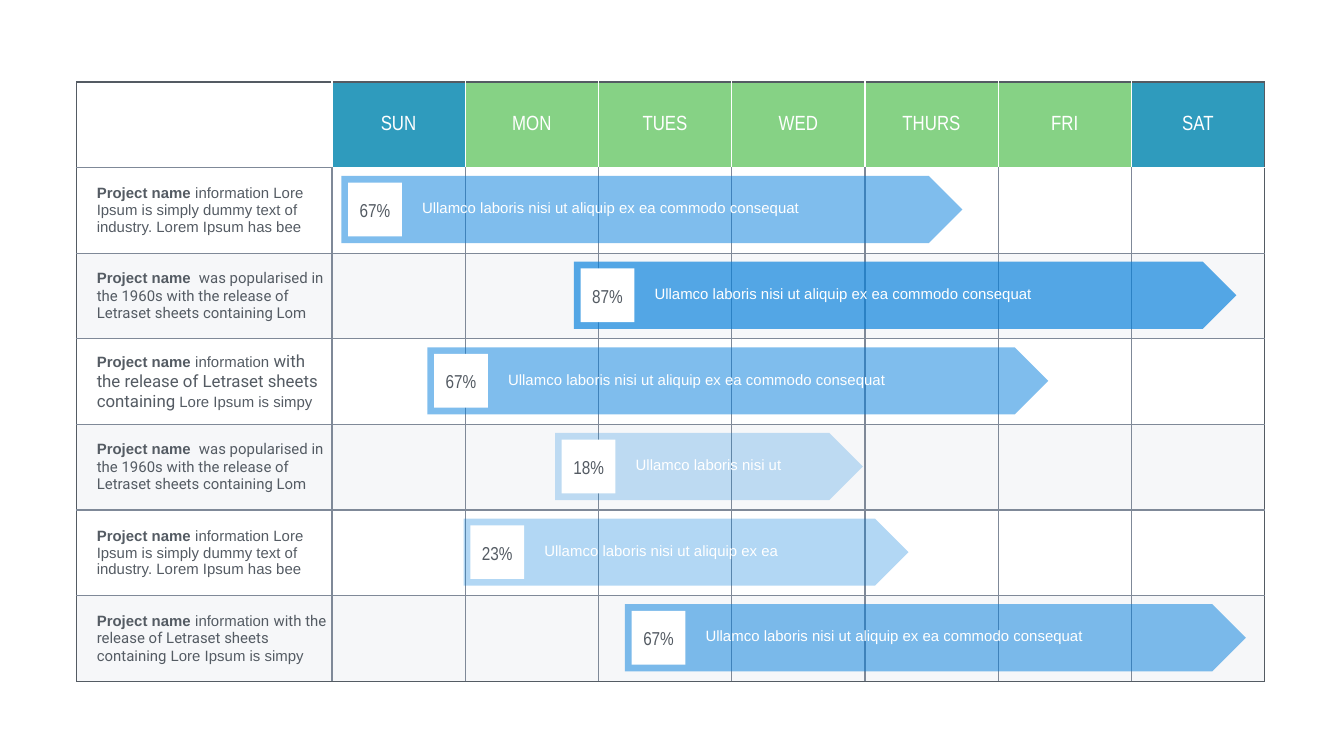
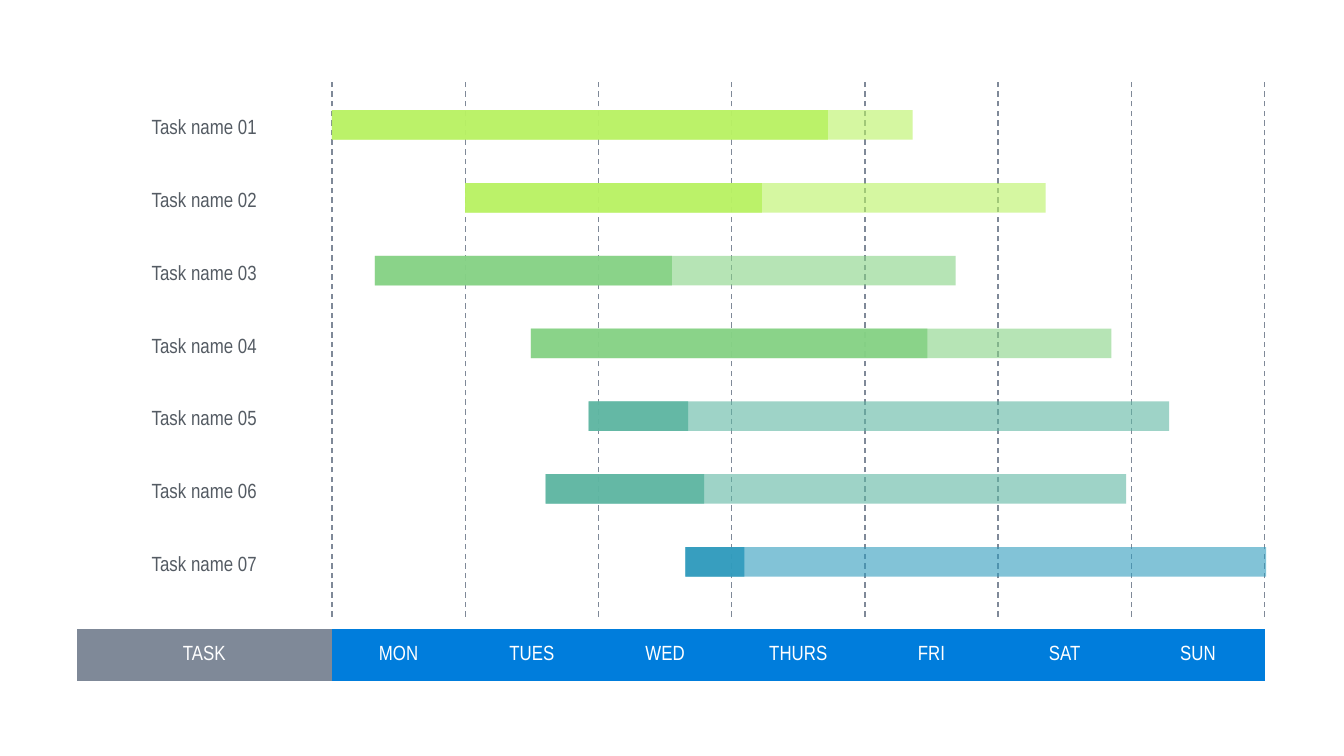
"""Build two weekly Gantt slides: a project table with arrows and a task bar chart."""
from lxml.etree import SubElement
from pptx import Presentation
from pptx.dml.color import RGBColor
from pptx.enum.dml import MSO_LINE_DASH_STYLE as Dash
from pptx.enum.shapes import MSO_CONNECTOR as Connector, MSO_SHAPE as Shape
from pptx.enum.text import MSO_ANCHOR as Anchor, PP_ALIGN as Align
from pptx.oxml.ns import qn
from pptx.util import Inches, Pt

COLORS = {
    "white": "FFFFFF", "ink": "545B63", "gray": "7F8998", "pale": "EEF0F4",
    "blue": "007DDC", "teal": "2F9BBD", "sea": "5EB6A2", "green": "86D285",
    "lime": "B9F263",
}
NARROW, SANS, ROBOTO = "Arial Narrow", "Arial", "Roboto"
LEFT, LABEL_WIDTH, RIGHT = 0.57, 1.9, 9.41
DAYS_LEFT = LEFT + LABEL_WIDTH
DAY_WIDTH = (RIGHT - DAYS_LEFT) / 7
TABLE_TOP, ROW_HEIGHT = 0.61, 4.46 / 7
TASK_STEP = 3.25 / 6
NO_STYLE = "{2D5ABB26-0587-4C30-8999-92F81FD0307C}"


def paint(target, color, alpha=100):
    """Fill a shape or cell with a colour of the given opacity, without outline."""
    target.fill.solid()
    target.fill.fore_color.rgb = RGBColor.from_string(COLORS[color])
    if alpha < 100:
        tone = next(target.fill._xPr.iter(qn("a:srgbClr")))
        SubElement(tone, qn("a:alpha"), val=str(alpha * 1000))
    if hasattr(target, "shadow"):
        target.shadow.inherit = False
        target.line.fill.background()


def write(owner, spans, color, align=Align.LEFT, side=0.04, left=None):
    """Write (text, font, size, bold) spans into a cell or a text frame."""
    frame = getattr(owner, "text_frame", owner)
    frame.word_wrap = True
    owner.margin_left = Inches(side if left is None else left)
    owner.margin_right = Inches(side)
    owner.margin_top = owner.margin_bottom = Inches(0.02)
    para = frame.paragraphs[0]
    para.alignment = align
    for text, font, size, bold in spans:
        span = para.add_run()
        span.text = text
        span.font.name = font
        span.font.size = Pt(size)
        span.font.bold = bold
        span.font.color.rgb = RGBColor.from_string(COLORS[color])


deck = Presentation()
deck.slide_width = Inches(10)
deck.slide_height = Inches(10 * 9 / 16)

headers = [
    (TABLE_TOP, 7, ROW_HEIGHT,
     ["", "SUN", "MON", "TUES", "WED", "THURS", "FRI", "SAT"],
     [None, "teal"] + ["green"] * 5 + ["teal"]),
    (4.68, 1, 0.39,
     ["TASK", "MON", "TUES", "WED", "THURS", "FRI", "SAT", "SUN"],
     ["gray"] + ["blue"] * 7),
]
pages, tables = [], []
for top, row_count, row_height, labels, fills in headers:
    page = deck.slides.add_slide(deck.slide_layouts[6])
    table = page.shapes.add_table(
        row_count, 8, Inches(LEFT), Inches(top),
        Inches(RIGHT - LEFT), Inches(row_count * row_height)).table
    table.first_row = table.horz_banding = False
    table._tbl.tblPr.find(qn("a:tableStyleId")).text = NO_STYLE
    for index, column in enumerate(table.columns):
        column.width = Inches(DAY_WIDTH if index else LABEL_WIDTH)
    for row in table.rows:
        row.height = Inches(row_height)
    for cell, label, fill in zip(table.rows[0].cells, labels, fills):
        if fill:
            paint(cell, fill)
            cell.vertical_anchor = Anchor.MIDDLE
            write(cell, [(label, NARROW, 11, False)], "white", Align.CENTER)
    pages.append(page)
    tables.append(table)

week_page, task_page = pages
week_table = tables[0]

name = ("Project name ", SANS, 8, True)
information = ("information ", SANS, 8, False)
dummy = [name, ("information Lore Ipsum is simply dummy text of industry. "
                "Lorem Ipsum has bee", SANS, 8, False)]
popular = [name, (" was popularised in the 1960s with the release of "
                  "Letraset sheets containing Lom", ROBOTO, 8, False)]
release = "with the release of Letraset sheets containing "
ending = ("Lore Ipsum is simpy", SANS, 8, False)
short_caption = "Ullamco laboris nisi ut"
middle_caption = short_caption + " aliquip ex ea"
long_caption = middle_caption + " commodo consequat"
projects = [
    (dummy, 2.54, 4.62, 50, "67%", long_caption, 3.11),
    (popular, 4.27, 4.93, 66, "87%", long_caption, 3.11),
    ([name, information, (release, ROBOTO, 9, False), ending],
     3.18, 4.62, 50, "67%", long_caption, 3.11),
    (popular, 4.13, 2.29, 23, "18%", short_caption, 1.4),
    (dummy, 3.45, 3.31, 30, "23%", middle_caption, 2.08),
    ([name, information, (release, ROBOTO, 8, False), ending],
     4.65, 4.62, 50, "67%", long_caption, 3.11),
]

for number, (spans, left, width, alpha, percent, caption, caption_width) in enumerate(projects):
    cells = list(week_table.rows[number + 1].cells)
    if number % 2:
        for cell in cells:
            paint(cell, "pale", 50)
    cells[0].vertical_anchor = Anchor.MIDDLE
    write(cells[0], spans, "ink", left=0.15)

    top = 1.31 + number * ROW_HEIGHT
    group = week_page.shapes.add_group_shape().shapes
    arrow = group.add_shape(Shape.PENTAGON, Inches(left), Inches(top),
                            Inches(width), Inches(0.5))
    paint(arrow, "blue", alpha)
    box = group.add_textbox(Inches(left + 0.56), Inches(top + 0.15),
                            Inches(caption_width), Inches(0.18))
    write(box.text_frame, [(caption, SANS, 8, False)], "white")
    square = group.add_shape(Shape.RECTANGLE, Inches(left + 0.05), Inches(top + 0.05),
                             Inches(0.4), Inches(0.4))
    paint(square, "white")
    box = group.add_textbox(Inches(left + 0.05), Inches(top + 0.15),
                            Inches(0.4), Inches(0.2))
    write(box.text_frame, [(percent, NARROW, 10, False)], "ink", Align.CENTER, 0.02)

for row_index, row in enumerate(week_table.rows):
    for column_index, cell in enumerate(row.cells):
        header = row_index == 0
        day = column_index > 0
        edges = [
            ("a:lnL", not day, header),
            ("a:lnR", column_index == 7, header),
            ("a:lnT", header, row_index == 1 and day),
            ("a:lnB", row_index == 6, header and day),
        ]
        properties = cell._tc.get_or_add_tcPr()
        for position, (tag, outer, light) in enumerate(edges):
            color = "ink" if outer else "white" if light else "gray"
            border = SubElement(properties, qn(tag), w=str(Pt(0.75)))
            solid = SubElement(border, qn("a:solidFill"))
            SubElement(solid, qn("a:srgbClr"), val=COLORS[color])
            properties.insert(position, border)

for day in range(8):
    x = Inches(DAYS_LEFT + day * DAY_WIDTH)
    guide = task_page.shapes.add_connector(Connector.STRAIGHT, x, Inches(4.59), x, Inches(0.6))
    guide.line.color.rgb = RGBColor.from_string(COLORS["gray"])
    guide.line.width = Pt(0.75)
    guide.line.dash_style = Dash.DASH
    SubElement(guide._element.spPr, qn("a:effectLst"))

tasks = [
    (2.47, 3.69, "lime"), (3.46, 2.21, "lime"), (2.79, 2.21, "green"),
    (3.95, 2.95, "green"), (4.38, 0.74, "sea"), (4.06, 1.18, "sea"),
    (5.1, 0.44, "teal"),
]
for number, (left, done, color) in enumerate(tasks):
    top = 0.82 + number * TASK_STEP
    box = task_page.shapes.add_textbox(Inches(LEFT), Inches(top + 0.01),
                                       Inches(LABEL_WIDTH), Inches(0.22))
    write(box.text_frame, [(f"Task name {number + 1:02}", NARROW, 11, False)],
          "ink", Align.CENTER, 0.02)
    group = task_page.shapes.add_group_shape().shapes
    for width, alpha in ((4.32, 60), (done, 90)):
        bar = group.add_shape(Shape.RECTANGLE, Inches(left), Inches(top),
                              Inches(width), Inches(0.22))
        paint(bar, color, alpha)

deck.save("out.pptx")
